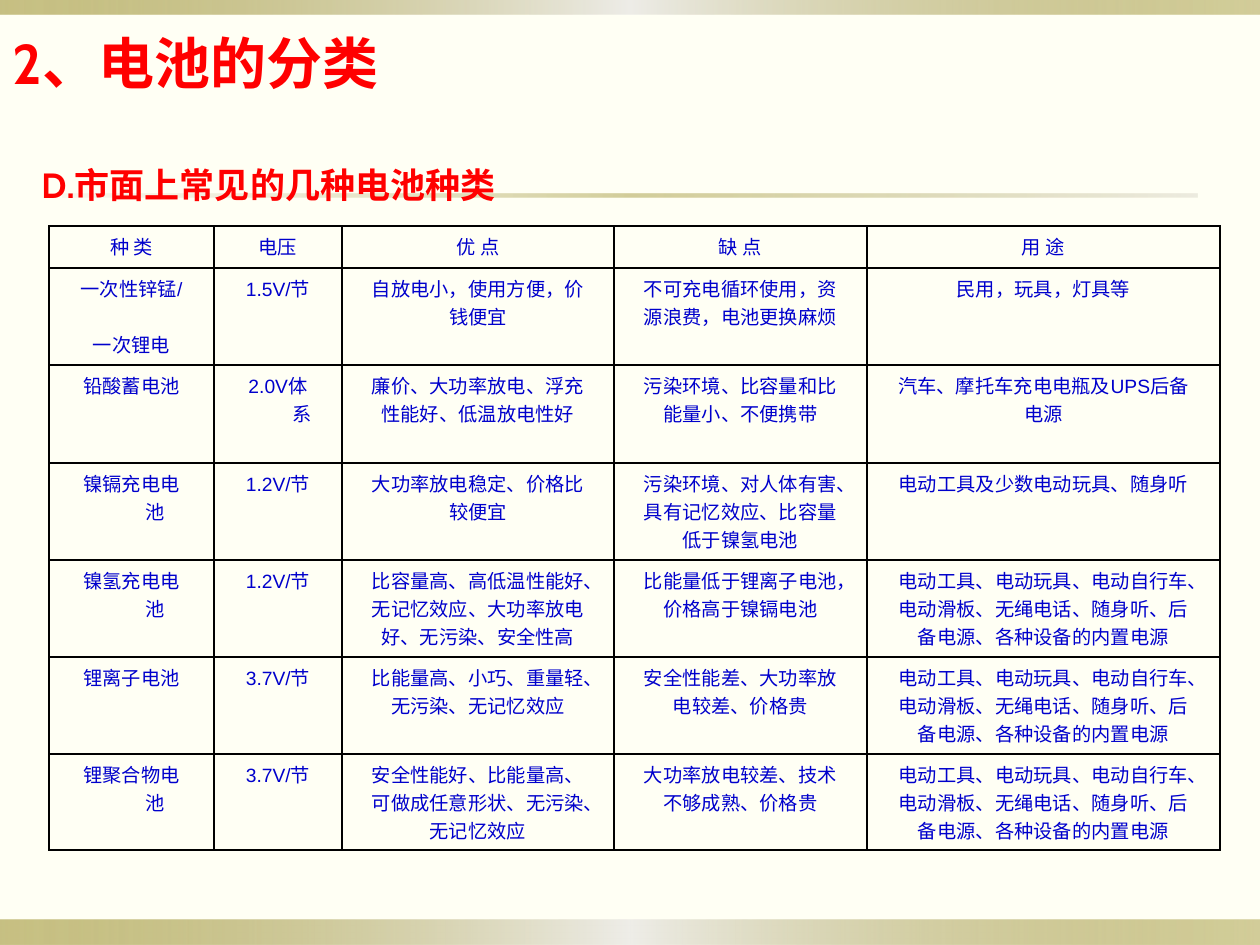
from dataclasses import dataclass

from lxml.etree import SubElement
from pptx import Presentation
from pptx.dml.color import RGBColor
from pptx.enum.shapes import MSO_SHAPE
from pptx.enum.text import MSO_ANCHOR, PP_ALIGN
from pptx.oxml.ns import qn
from pptx.util import Emu, Pt


@dataclass(frozen=True)
class Theme:
    page: str = "FFFFF4"
    olive: str = "918415"
    pale: str = "EEEDE8"
    sand: str = "DCD9CC"
    heading: str = "FF0000"
    body: str = "0000CC"
    border: str = "000000"
    heading_font: str = "Cabin"
    body_font: str = "Arial"
    title_size: int = 32
    subtitle_size: int = 20
    body_size: int = 11
    line_pitch: int = 16


THEME = Theme()
BAND_STOPS = [(0, THEME.olive, 50), (50, THEME.pale, 100), (100, THEME.olive, 40)]
RULE_STOPS = [(0, THEME.sand, 20), (50, THEME.olive, 40), (100, THEME.sand, 50)]

COLUMN_WIDTHS = [165, 128, 272, 253, 353]
ROW_HEIGHTS = [42, 97, 98, 97, 97, 97, 96]
POWERED_DEVICES = ("电动工具、电动玩具、电动自行车、\n"
                   "电动滑板、无绳电话、随身听、后\n备电源、各种设备的内置电源")
# Each line in a cell is its own paragraph; an empty line is a one-line gap
BATTERIES = [
    ["种 类", "电压", "优 点", "缺 点", "用 途"],
    ["一次性锌锰/\n\n一次锂电", "1.5V/节", "自放电小，使用方便，价\n钱便宜",
     "不可充电循环使用，资\n源浪费，电池更换麻烦", "民用，玩具，灯具等"],
    ["铅酸蓄电池", "2.0V体系", "廉价、大功率放电、浮充\n性能好、低温放电性好",
     "污染环境、比容量和比\n能量小、不便携带", "汽车、摩托车充电电瓶及UPS后备\n电源"],
    ["镍镉充电电池", "1.2V/节", "大功率放电稳定、价格比\n较便宜",
     "污染环境、对人体有害、\n具有记忆效应、比容量\n低于镍氢电池",
     "电动工具及少数电动玩具、随身听"],
    ["镍氢充电电池", "1.2V/节",
     "比容量高、高低温性能好、\n无记忆效应、大功率放电\n好、无污染、安全性高",
     "比能量低于锂离子电池，\n价格高于镍镉电池", POWERED_DEVICES],
    ["锂离子电池", "3.7V/节", "比能量高、小巧、重量轻、\n无污染、无记忆效应",
     "安全性能差、大功率放\n电较差、价格贵", POWERED_DEVICES],
    ["锂聚合物电池", "3.7V/节",
     "安全性能好、比能量高、\n可做成任意形状、无污染、\n无记忆效应",
     "大功率放电较差、技术\n不够成熟、价格贵", POWERED_DEVICES],
]


def px(length):
    return Emu(round(length * 914400 / 126))


def add_span(para, text, font, size, color, bold=False):
    span = para.add_run()
    span.text = text
    span.font.name = font
    span.font.size = Pt(size)
    span.font.bold = bold
    span.font.color.rgb = RGBColor.from_string(color)


def add_gradient_bar(page, box, stops):
    bar = page.shapes.add_shape(MSO_SHAPE.RECTANGLE, *map(px, box))
    bar.shadow.inherit = False
    bar.line.fill.background()
    bar.fill.gradient()
    bar.fill.gradient_angle = 0
    stop_list = bar.fill._fill._gradFill.find(qn("a:gsLst"))
    for stop in list(stop_list):
        stop_list.remove(stop)
    for position, color, opacity in stops:
        stop = SubElement(stop_list, qn("a:gs"), pos=str(position * 1000))
        tint = SubElement(stop, qn("a:srgbClr"), val=color)
        SubElement(tint, qn("a:alpha"), val=str(opacity * 1000))


def add_heading(page, box, text, size, anchor):
    frame = page.shapes.add_textbox(*map(px, box)).text_frame
    frame.word_wrap = True
    frame.vertical_anchor = anchor
    add_span(frame.paragraphs[0], text, THEME.heading_font, size, THEME.heading, True)


def style_cell(cell):
    cell.margin_left = cell.margin_right = px(25)
    cell.margin_top = cell.margin_bottom = px(6)
    properties = cell._tc.get_or_add_tcPr()
    for side in ("lnL", "lnR", "lnT", "lnB"):
        line = SubElement(properties, qn(f"a:{side}"), w=str(Pt(1)))
        fill = SubElement(line, qn("a:solidFill"))
        SubElement(fill, qn("a:srgbClr"), val=THEME.border)
    cell.fill.background()


def fill_cell(cell, text):
    frame = cell.text_frame
    gap = 0
    for index, line in enumerate(text.split("\n")):
        if not line:
            gap += THEME.line_pitch
            continue
        para = frame.add_paragraph() if index else frame.paragraphs[0]
        para.alignment = PP_ALIGN.CENTER
        # Hanging indent
        properties = para._p.get_or_add_pPr()
        properties.set("marL", str(px(48)))
        properties.set("indent", str(-px(48)))
        if gap:
            para.space_before = Pt(gap)
            gap = 0
        add_span(para, line, THEME.body_font, THEME.body_size, THEME.body)


def add_battery_table(page, left, top):
    box = (left, top, sum(COLUMN_WIDTHS), sum(ROW_HEIGHTS))
    table = page.shapes.add_table(
        len(ROW_HEIGHTS), len(COLUMN_WIDTHS), *map(px, box)).table
    table.first_row = table.horz_banding = False
    for column, width in zip(table.columns, COLUMN_WIDTHS):
        column.width = px(width)
    for row, height, texts in zip(table.rows, ROW_HEIGHTS, BATTERIES):
        row.height = px(height)
        for cell, text in zip(row.cells, texts):
            style_cell(cell)
            fill_cell(cell, text)


def build_battery_page(deck):
    page = deck.slides.add_slide(deck.slide_layouts[6])
    page.background.fill.solid()
    page.background.fill.fore_color.rgb = RGBColor.from_string(THEME.page)

    # Bottom band, top band and rule
    add_gradient_bar(page, (0, 920, 1260, 25), BAND_STOPS)
    add_gradient_bar(page, (0, 0, 1260, 15), BAND_STOPS)
    add_gradient_bar(page, (63, 194, 1134, 3), RULE_STOPS)

    # Title, table and subtitle
    add_heading(page, (0, 20, 630, 84), "2、电池的分类",
                THEME.title_size, MSO_ANCHOR.MIDDLE)
    add_battery_table(page, 49, 226)
    add_heading(page, (29, 157, 630, 49), "D.市面上常见的几种电池种类",
                THEME.subtitle_size, MSO_ANCHOR.TOP)


def main():
    deck = Presentation()
    deck.slide_width, deck.slide_height = px(1260), px(945)
    build_battery_page(deck)
    deck.save("out.pptx")


if __name__ == "__main__":
    main()
